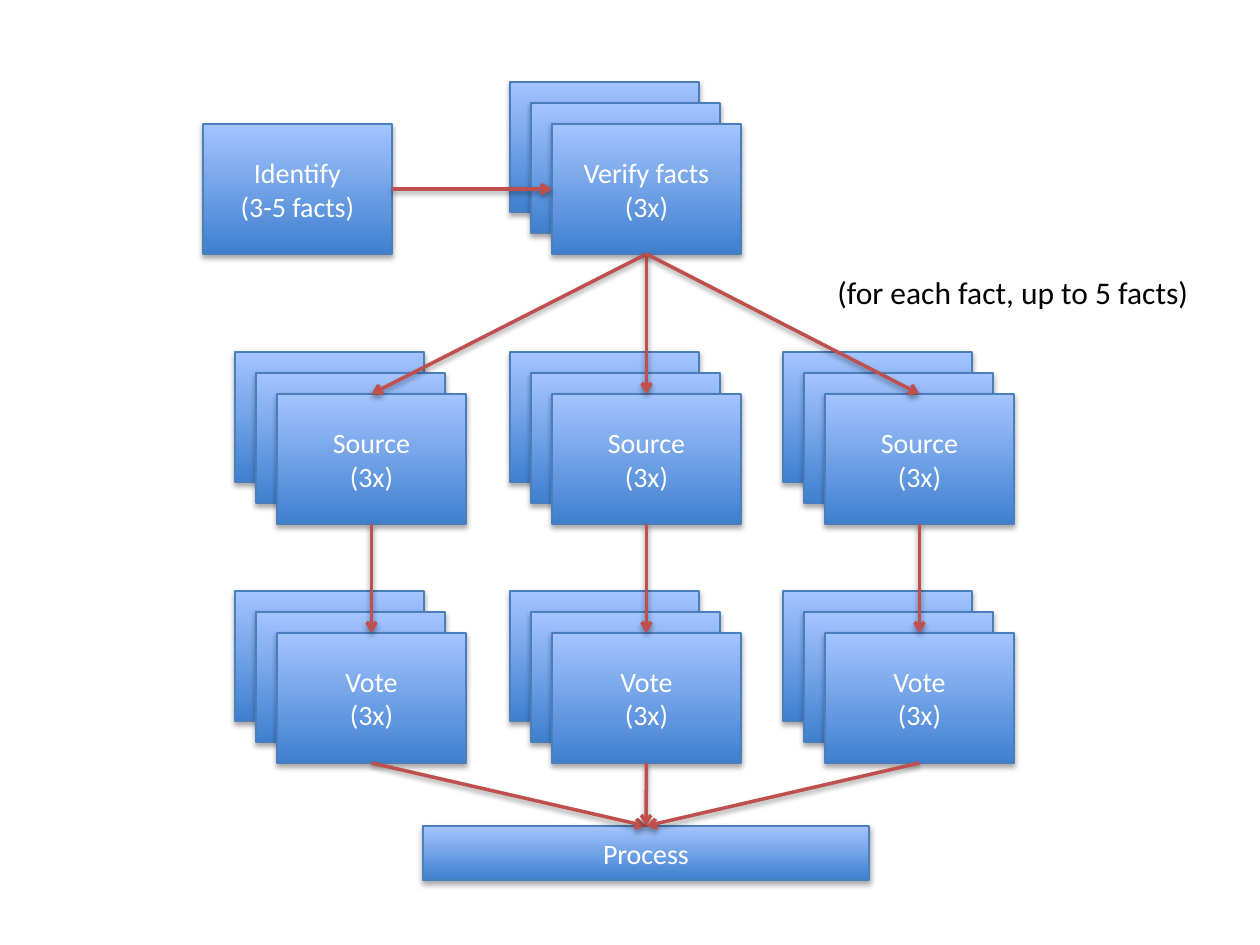
from dataclasses import dataclass

from lxml import etree
from pptx import Presentation
from pptx.dml.color import RGBColor
from pptx.enum.shapes import MSO_CONNECTOR, MSO_SHAPE
from pptx.enum.text import MSO_ANCHOR, MSO_AUTO_SIZE, PP_ALIGN
from pptx.oxml.ns import qn
from pptx.util import Pt

RECTANGLE = MSO_SHAPE.RECTANGLE
STRAIGHT = MSO_CONNECTOR.STRAIGHT
CENTER = PP_ALIGN.CENTER
MIDDLE = MSO_ANCHOR.MIDDLE
FIT_SHAPE = MSO_AUTO_SIZE.SHAPE_TO_FIT_TEXT
TOP, LEFT, BOTTOM, RIGHT = range(4)


@dataclass(frozen=True)
class Theme:
    font: str = "Calibri"
    box_size: Pt = Pt(16)
    note_size: Pt = Pt(18)
    border_width: Pt = Pt(0.75)
    arrow_width: Pt = Pt(2)
    box_bottom: RGBColor = RGBColor(0x3F, 0x80, 0xCE)
    box_top: RGBColor = RGBColor(0xA4, 0xC4, 0xFF)
    border: RGBColor = RGBColor(0x4B, 0x7E, 0xBC)
    arrow: RGBColor = RGBColor(0xC0, 0x50, 0x4D)
    box_text: RGBColor = RGBColor(0xFF, 0xFF, 0xFF)
    note_text: RGBColor = RGBColor(0x00, 0x00, 0x00)


THEME = Theme()
SCALE = 914400 / 126
BOX_WIDTH, BOX_HEIGHT = 189, 130
STACK_STEP = 21
COLUMNS = [277, 552, 825]
VERIFY_TOP, SOURCE_TOP, VOTE_TOP = 124, 394, 633

presentation = Presentation()
presentation.slide_width = round(1260 * SCALE)
presentation.slide_height = round(945 * SCALE)
slide = presentation.slides.add_slide(presentation.slide_layouts[6])


def add_stack(lines, left, top, width=BOX_WIDTH, height=BOX_HEIGHT, layers=1):
    for depth in reversed(range(layers)):
        offset = depth * STACK_STEP
        bounds = (left - offset, top - offset, width, height)
        box = slide.shapes.add_shape(RECTANGLE, *(round(value * SCALE) for value in bounds))
        box.fill.gradient()
        box.fill.gradient_angle = 90
        for stop, color in zip(box.fill.gradient_stops, (THEME.box_bottom, THEME.box_top)):
            stop.color.rgb = color
        box.line.color.rgb = THEME.border
        box.line.width = THEME.border_width
    frame = box.text_frame
    frame.vertical_anchor = MIDDLE
    frame.text = "\n".join(lines)
    for paragraph in frame.paragraphs:
        paragraph.alignment = CENTER
        paragraph.font.name = THEME.font
        paragraph.font.size = THEME.box_size
        paragraph.font.color.rgb = THEME.box_text
    return box


def add_arrow(start, start_site, end, end_site):
    arrow = slide.shapes.add_connector(STRAIGHT, 0, 0, 0, 0)
    arrow.begin_connect(start, start_site)
    arrow.end_connect(end, end_site)
    arrow.line.color.rgb = THEME.arrow
    arrow.line.width = THEME.arrow_width
    etree.SubElement(arrow.line._get_or_add_ln(), qn("a:tailEnd"), type="arrow")


identify = add_stack(["Identify", "(3-5 facts)"], 203, VERIFY_TOP)
verify = add_stack(["Verify facts", "(3x)"], COLUMNS[1], VERIFY_TOP, layers=3)
add_arrow(identify, RIGHT, verify, LEFT)

note_bounds = (825, 267, 389, 50)
note = slide.shapes.add_textbox(*(round(value * SCALE) for value in note_bounds))
note.text_frame.word_wrap = False
note.text_frame.auto_size = FIT_SHAPE
note.text_frame.text = "(for each fact, up to 5 facts)"
paragraph = note.text_frame.paragraphs[0]
paragraph.font.name = THEME.font
paragraph.font.size = THEME.note_size
paragraph.font.color.rgb = THEME.note_text

sources = []
for left in COLUMNS:
    source = add_stack(["Source", "(3x)"], left, SOURCE_TOP, layers=3)
    add_arrow(verify, BOTTOM, source, TOP)
    sources.append(source)

votes = [add_stack(["Vote", "(3x)"], left, VOTE_TOP, layers=3) for left in COLUMNS]
for source, vote in zip(sources, votes):
    add_arrow(source, BOTTOM, vote, TOP)

process = add_stack(["Process"], 423, 826, 446, 54)
for vote in votes:
    add_arrow(vote, BOTTOM, process, TOP)

presentation.save("out.pptx")
